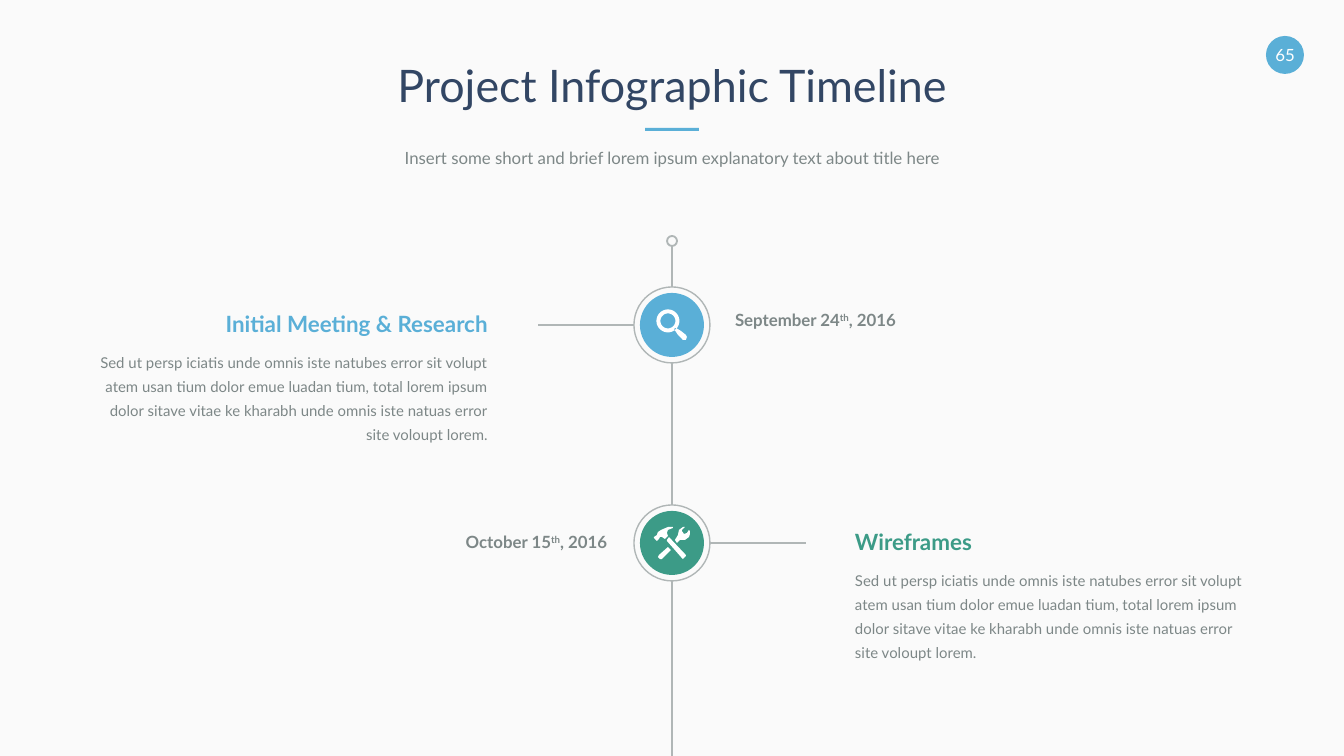
import math

from lxml import etree
from pptx import Presentation
from pptx.dml.color import RGBColor
from pptx.enum.shapes import MSO_CONNECTOR, MSO_SHAPE
from pptx.enum.text import MSO_ANCHOR, MSO_AUTO_SIZE, PP_ALIGN
from pptx.oxml.ns import qn
from pptx.util import Emu, Pt

SCALE = 914400 / 134.4  # EMU per px
WIDTH, HEIGHT = 1344, 756
RECTANGLE, ELLIPSE = MSO_SHAPE.RECTANGLE, MSO_SHAPE.OVAL
LEFT, CENTER, RIGHT = PP_ALIGN.LEFT, PP_ALIGN.CENTER, PP_ALIGN.RIGHT
FONT = "Lato"
COLORS = {
    "background": "FAFAFA", "title": "324664", "text": "7D8787",
    "line": "B0B6B6", "blue": "5AAFD7", "green": "3C9B87", "white": "FFFFFF",
}
BODY = ("Sed ut persp iciatis unde omnis iste natubes error sit volupt atem usan "
        "tium dolor emue luadan tium, total lorem ipsum dolor sitave vitae ke "
        "kharabh unde omnis iste natuas error site voloupt lorem.")


def px(value):
    return Emu(round(value * SCALE))


def color(name):
    return RGBColor.from_string(COLORS[name])


def write_text(shape, parts, size=9, fill="text", bold=False, align=LEFT, spacing=None):
    """Write one paragraph; every second part is superscript."""
    frame = shape.text_frame
    frame.word_wrap = True
    frame.auto_size = MSO_AUTO_SIZE.NONE
    frame.vertical_anchor = MSO_ANCHOR.TOP
    frame.margin_left = frame.margin_right = frame.margin_top = frame.margin_bottom = 0
    paragraph = frame.paragraphs[0]
    paragraph.alignment = align
    if spacing:
        paragraph.line_spacing = spacing
    for index, part in enumerate(parts):
        run = paragraph.add_run()
        run.text = part
        run.font.name = FONT
        run.font.size = Pt(size)
        run.font.bold = bold
        run.font.color.rgb = color(fill)
        if index % 2:
            run._r.get_or_add_rPr().set("baseline", "30000")


def circle_points(x, y, radius, steps=40):
    angles = [2 * math.pi * step / steps for step in range(steps)]
    return [(x + radius * math.cos(a), y + radius * math.sin(a)) for a in angles]


class SlideBuilder:
    def __init__(self, presentation):
        self.slide = presentation.slides.add_slide(presentation.slide_layouts[5])
        self.shapes = self.slide.shapes
        background = self.slide.background.fill
        background.solid()
        background.fore_color.rgb = color("background")

    def title(self, text, left, top, width, height, **style):
        title = self.shapes.title
        title.left, title.top, title.width, title.height = map(px, (left, top, width, height))
        write_text(title, [text], **style)

    def text(self, parts, left, top, width, height, **style):
        box = self.shapes.add_textbox(*map(px, (left, top, width, height)))
        write_text(box, parts, **style)

    def paint(self, shape, fill=None, outline=None, weight=1):
        shape.shadow.inherit = False
        if fill:
            shape.fill.solid()
            shape.fill.fore_color.rgb = color(fill)
        else:
            shape.fill.background()
        if outline:
            shape.line.color.rgb = color(outline)
            shape.line.width = Pt(weight)
        else:
            shape.line.fill.background()

    def shape(self, kind, left, top, width, height, **style):
        shape = self.shapes.add_shape(kind, *map(px, (left, top, width, height)))
        self.paint(shape, **style)

    def circle(self, x, y, radius, **style):
        self.shape(ELLIPSE, x - radius, y - radius, 2 * radius, 2 * radius, **style)

    def line(self, x1, y1, x2, y2):
        line = self.shapes.add_connector(MSO_CONNECTOR.STRAIGHT, *map(px, (x1, y1, x2, y2)))
        line.line.color.rgb = color("line")
        line.line.width = Pt(1)
        etree.SubElement(line._element.spPr, qn("a:effectLst"))

    def icon(self, contours):
        builder = self.shapes.build_freeform(*map(px, contours[0][0]), scale=1.0)
        for index, contour in enumerate(contours):
            points = [(px(x), px(y)) for x, y in contour]
            if index:
                builder.move_to(*points[0])
            builder.add_line_segments(points[1:], close=True)
        self.paint(builder.convert_to_shape(), fill="white")


MAGNIFIER = [
    circle_points(668, 321, 11.5),
    circle_points(668, 321, 7.5)[::-1],
    [(674, 329), (676, 328), (681, 331), (686, 335), (687, 337), (686, 340),
     (683, 340), (678, 335), (676, 332)],
]
TOOLS = [
    # Wrench handle and head
    [(668, 547), (671, 550), (662, 559), (660, 559), (658, 557), (659, 555)],
    [(690, 531), (689, 530), (687, 533), (684, 534), (682, 531), (682, 530),
     (685, 527), (683, 527), (679, 530), (678, 535), (675, 540), (677, 543),
     (680, 540), (685, 540), (689, 537), (690, 534)],
    # Hammer handle and head
    [(669, 537), (667, 540), (667, 541), (682, 558), (683, 559), (686, 556), (686, 555)],
    [(660, 537), (662, 537), (665, 539), (668, 536), (667, 533), (668, 530),
     (673, 528), (673, 527), (668, 527), (661, 530), (658, 532), (657, 535),
     (654, 537), (654, 538), (657, 541), (659, 539)],
]
AXIS, RING, DISC = 672, 38, 32
# y, colour, heading, its box left and alignment, date, its box left, top and alignment,
# outer end of the branch, icon
MILESTONES = [
    (325, "blue", "Initial Meeting & Research", 100, RIGHT,
     ["September 24", "th", ", 2016"], 735, 310, LEFT, 538, MAGNIFIER),
    (543, "green", "Wireframes", 855, LEFT,
     ["October 15", "th", ", 2016"], 390, 532, RIGHT, 806, TOOLS),
]


def main():
    presentation = Presentation()
    presentation.slide_width, presentation.slide_height = px(WIDTH), px(HEIGHT)
    builder = SlideBuilder(presentation)

    # Header and page number
    builder.title("Project Infographic Timeline", 101, 58, 1142, 59,
                  size=24, fill="title", align=CENTER)
    builder.shape(RECTANGLE, 645, 128, 54, 3, fill="blue")
    builder.text(["Insert some short and brief lorem ipsum explanatory text about title here"],
                 101, 148, 1142, 23, align=CENTER)
    builder.circle(1285, 55, 19, fill="blue")
    builder.text(["65"], 1268, 45, 34, 20, fill="white", align=CENTER)

    # Timeline axis, from the start dot to the slide's bottom edge
    builder.circle(AXIS, 241, 5, outline="line")
    start = 246
    for y, *_ in MILESTONES:
        builder.line(AXIS, start, AXIS, y - RING)
        start = y + RING
    builder.line(AXIS, start, AXIS, HEIGHT)

    # Milestones
    for (y, accent, heading, left, align, date, date_left, date_top, date_align,
         branch_end, icon) in MILESTONES:
        side = 1 if branch_end > AXIS else -1
        builder.line(AXIS + side * RING, y, branch_end, y)
        builder.circle(AXIS, y, RING, outline="line", weight=0.75)
        builder.circle(AXIS, y, DISC, fill=accent)
        builder.icon(icon)
        builder.text([heading], left, y - 15, 388, 27,
                     size=12, fill=accent, bold=True, align=align)
        builder.text([BODY], left, y + 22, 388, 98, size=8, align=align, spacing=1.35)
        builder.text(date, date_left, date_top, 217, 20, bold=True, align=date_align)

    presentation.save("out.pptx")


if __name__ == "__main__":
    main()
